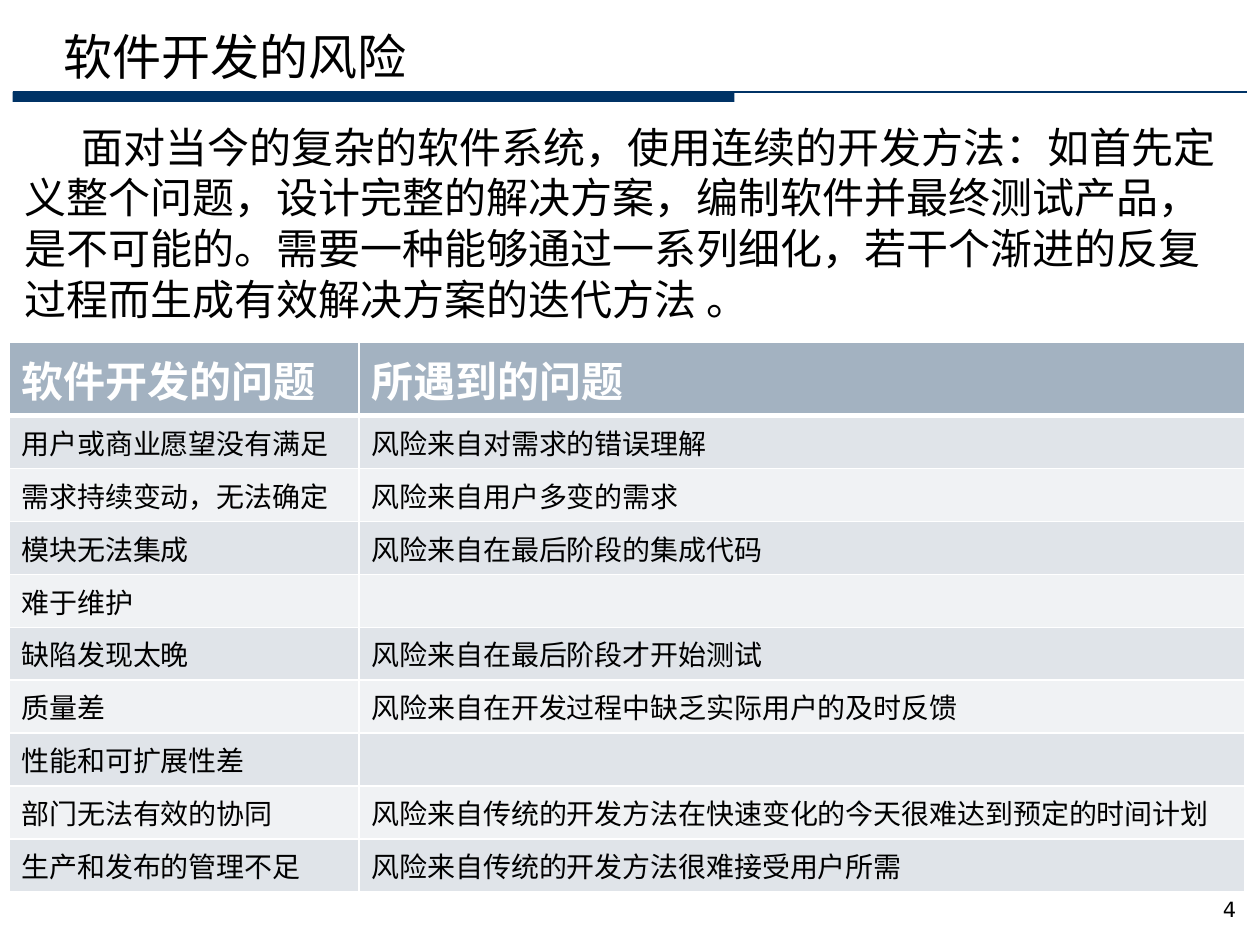
from lxml import etree
from pptx import Presentation
from pptx.dml.color import RGBColor
from pptx.enum.shapes import MSO_CONNECTOR, MSO_SHAPE
from pptx.enum.text import MSO_ANCHOR, PP_ALIGN
from pptx.oxml.ns import qn
from pptx.util import Inches, Pt

NAVY = RGBColor(0x00, 0x33, 0x66)
BLACK = RGBColor(0x00, 0x00, 0x00)
WHITE = RGBColor(0xFF, 0xFF, 0xFF)
HEADER_FILL = RGBColor(0xA3, 0xB2, 0xC1)
BAND_FILLS = [RGBColor(0xE0, 0xE4, 0xE9), RGBColor(0xF0, 0xF2, 0xF4)]
CJK_FONT = "Noto Sans CJK SC"
BODY_FONT = "DejaVu Sans"
TABLE_FONT = "Times New Roman"

TITLE = "软件开发的风险"
INTRO = ("面对当今的复杂的软件系统，使用连续的开发方法：如首先定义整个问题，"
         "设计完整的解决方案，编制软件并最终测试产品，是不可能的。"
         "需要一种能够通过一系列细化，若干个渐进的反复过程而生成有效解决方案的迭代方法 。")
PAGE_NUMBER = "4"
RISKS = [
    ("软件开发的问题", "所遇到的问题"),
    ("用户或商业愿望没有满足", "风险来自对需求的错误理解"),
    ("需求持续变动，无法确定", "风险来自用户多变的需求"),
    ("模块无法集成", "风险来自在最后阶段的集成代码"),
    ("难于维护", ""),
    ("缺陷发现太晚", "风险来自在最后阶段才开始测试"),
    ("质量差", "风险来自在开发过程中缺乏实际用户的及时反馈"),
    ("性能和可扩展性差", ""),
    ("部门无法有效的协同", "风险来自传统的开发方法在快速变化的今天很难达到预定的时间计划"),
    ("生产和发布的管理不足", "风险来自传统的开发方法很难接受用户所需"),
]
COL_WIDTHS = [2.78, 7.03]
HEADER_HEIGHT, ROW_HEIGHT = 0.58, 0.42


def add_run(p, text, size, font, color=BLACK, bold=False):
    r = p.add_run()
    r.text = text
    r.font.size = Pt(size)
    r.font.name = font
    r.font.bold = bold
    r.font.color.rgb = color
    ea = etree.SubElement(r.font._element, qn("a:ea"))
    ea.set("typeface", CJK_FONT)


def add_text(slide, box, text, size, font, align=PP_ALIGN.LEFT, anchor=MSO_ANCHOR.TOP):
    """Add a one-paragraph text box and return its paragraph."""
    tf = slide.shapes.add_textbox(*map(Inches, box)).text_frame
    tf.word_wrap = True
    tf.vertical_anchor = anchor
    p = tf.paragraphs[0]
    p.alignment = align
    add_run(p, text, size, font)
    return p


def add_rule(slide, right, y, width):
    """Draw a thin horizontal line from the left margin."""
    line = slide.shapes.add_connector(
        MSO_CONNECTOR.STRAIGHT, Inches(0.1), Inches(y), Inches(right), Inches(y))
    line.line.color.rgb = NAVY
    line.line.width = Pt(width)
    etree.SubElement(line._element.spPr, qn("a:effectLst"))


def add_title_bar(slide):
    bar = slide.shapes.add_shape(
        MSO_SHAPE.RECTANGLE, Inches(0.1), Inches(0.73), Inches(5.73), Inches(0.08))
    bar.shadow.inherit = False
    bar.fill.solid()
    bar.fill.fore_color.rgb = NAVY
    bar.line.fill.background()


def set_borders(cell, bottom):
    """Draw white cell borders; they must come before the fill in tcPr."""
    tc_pr = cell._tc.get_or_add_tcPr()
    for i, (side, width) in enumerate([("L", 1), ("R", 1), ("T", 1), ("B", bottom)]):
        ln = etree.Element(qn(f"a:ln{side}"), w=str(Pt(width)))
        fill = etree.SubElement(ln, qn("a:solidFill"))
        etree.SubElement(fill, qn("a:srgbClr"), val=str(WHITE))
        tc_pr.insert(i, ln)


def add_risk_table(slide):
    heights = [HEADER_HEIGHT] + [ROW_HEIGHT] * (len(RISKS) - 1)
    table = slide.shapes.add_table(
        len(RISKS), len(COL_WIDTHS), Inches(0.07), Inches(2.72),
        Inches(sum(COL_WIDTHS)), Inches(sum(heights))).table
    for col, width in zip(table.columns, COL_WIDTHS):
        col.width = Inches(width)
    for i, (texts, height) in enumerate(zip(RISKS, heights)):
        table.rows[i].height = Inches(height)
        header = i == 0
        for j, text in enumerate(texts):
            cell = table.cell(i, j)
            cell.fill.solid()
            cell.fill.fore_color.rgb = HEADER_FILL if header else BAND_FILLS[(i - 1) % 2]
            set_borders(cell, bottom=3 if header else 1)
            if text:
                add_run(cell.text_frame.paragraphs[0], text, 24 if header else 16,
                        TABLE_FONT, WHITE if header else BLACK, header)


def main():
    prs = Presentation()
    prs.slide_width, prs.slide_height = Inches(10), Inches(7.5)
    slide = prs.slides.add_slide(prs.slide_layouts[6])
    add_title_bar(slide)
    add_rule(slide, 9.9, 0.73, 0.75)
    add_rule(slide, 9.82, 7.07, 0.25)
    add_text(slide, (0.41, 0.12, 9.14, 0.61), TITLE, 28, CJK_FONT, anchor=MSO_ANCHOR.BOTTOM)
    intro = add_text(slide, (0.1, 0.91, 9.73, 5.74), INTRO, 24, BODY_FONT)
    intro.line_spacing = Pt(29)
    intro._p.get_or_add_pPr().set("indent", str(Inches(0.45)))
    add_text(slide, (7.68, 7.07, 2.23, 0.4), PAGE_NUMBER, 12, BODY_FONT, PP_ALIGN.RIGHT)
    add_risk_table(slide)
    prs.save("out.pptx")


if __name__ == "__main__":
    main()
